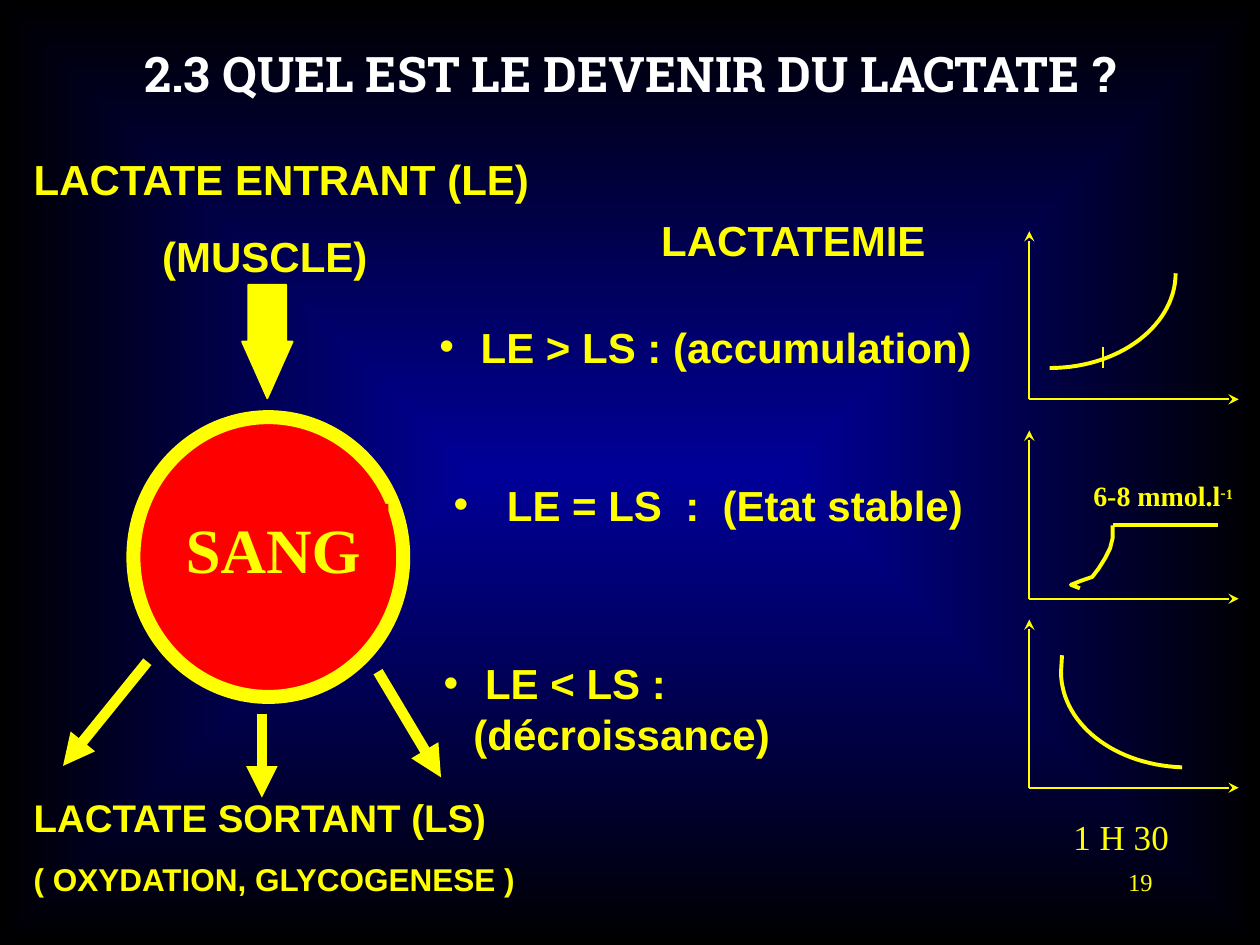
from dataclasses import dataclass
from typing import Optional

from lxml import etree
from pptx import Presentation
from pptx.dml.color import RGBColor
from pptx.enum.shapes import MSO_CONNECTOR, MSO_SHAPE
from pptx.enum.text import MSO_ANCHOR, MSO_AUTO_SIZE, PP_ALIGN
from pptx.oxml.ns import qn
from pptx.util import Cm, Pt

LEFT, MID, RIGHT = PP_ALIGN.LEFT, PP_ALIGN.CENTER, PP_ALIGN.RIGHT
TOP, CENTER = MSO_ANCHOR.TOP, MSO_ANCHOR.MIDDLE
NO_FIT = MSO_AUTO_SIZE.NONE
STRAIGHT = MSO_CONNECTOR.STRAIGHT
OVAL, RECT, DOWN = MSO_SHAPE.OVAL, MSO_SHAPE.RECTANGLE, MSO_SHAPE.DOWN_ARROW
HEX = {"ink": "FFFF00", "blood": "FF0000", "title": "FFFFFF",
       "core": "000099", "edge": "000000"}
SANS, SERIF, SLAB = "Arial", "Times New Roman", "Roboto Slab"


@dataclass
class Run:
    text: str
    size: float = 24
    font: str = SANS
    bold: bool = True
    color: str = "ink"
    rise: int = 0


@dataclass
class Para:
    runs: list[Run]
    align: Optional[PP_ALIGN] = LEFT
    before: float = 0
    indent: float = 0
    hang: float = 0


@dataclass
class Label:
    box: tuple
    paras: list[Para]
    wrap: bool = True


@dataclass
class Item:
    slot: int
    box: tuple
    lines: list[str]
    hang: float
    align: PP_ALIGN = LEFT


@dataclass
class Arrow:
    start: tuple
    end: tuple
    width: float = 1
    tip: str = ""


def rgb(name: str) -> RGBColor:
    return RGBColor.from_string(HEX[name])


def place(shape, box: tuple) -> None:
    shape.left, shape.top, shape.width, shape.height = map(Cm, box)


def add_run(para, run: Run) -> None:
    part = para.add_run()
    part.text = run.text
    font = part.font
    font.size, font.name, font.bold = Pt(run.size), run.font, run.bold
    font.color.rgb = rgb(run.color)
    if run.rise:
        font._element.set("baseline", str(run.rise * 1000))


def set_list(para, indent: float, hang: float) -> None:
    props = para._p.get_or_add_pPr()
    props.set("marL", str(Cm(indent + hang)))
    props.set("indent", str(-Cm(hang)))
    if hang:
        tint = etree.SubElement(props, qn("a:buClr"))
        etree.SubElement(tint, qn("a:srgbClr"), val=HEX["ink"])
        etree.SubElement(props, qn("a:buFont"), typeface=SANS)
        etree.SubElement(props, qn("a:buChar"), char="•")
    else:
        etree.SubElement(props, qn("a:buNone"))


def write(shape, paras: list[Para], wrap: bool = True, anchor=TOP) -> None:
    frame = shape.text_frame
    frame.word_wrap, frame.auto_size = wrap, NO_FIT
    frame.vertical_anchor = anchor
    for rank, spec_ in enumerate(paras):
        para = frame.add_paragraph() if rank else frame.paragraphs[0]
        set_list(para, spec_.indent, spec_.hang)
        para.alignment = spec_.align
        para.space_before = Pt(spec_.before)
        for turn, run in enumerate(spec_.runs):
            if turn and spec_.hang:
                para.add_line_break()
            add_run(para, run)


def add_label(slide, label: Label) -> None:
    shape = slide.shapes.add_textbox(*map(Cm, label.box))
    write(shape, label.paras, label.wrap)


def add_item(slide, item: Item) -> None:
    shape = slide.placeholders[item.slot]
    place(shape, item.box)
    runs = [Run(line) for line in item.lines]
    write(shape, [Para(runs, item.align, hang=item.hang)])


def add_form(slide, kind, box: tuple, fill: str, width: float):
    shape = slide.shapes.add_shape(kind, *map(Cm, box))
    shape.shadow.inherit = False
    shape.fill.solid()
    shape.fill.fore_color.rgb = rgb(fill)
    if width:
        shape.line.color.rgb, shape.line.width = rgb("ink"), Pt(width)
    else:
        shape.line.fill.background()
    return shape


def add_arrow(slide, arrow: Arrow) -> None:
    line = slide.shapes.add_connector(STRAIGHT, *map(Cm, arrow.start + arrow.end))
    line.line.color.rgb, line.line.width = rgb("ink"), Pt(arrow.width)
    if arrow.tip:
        etree.SubElement(line.line._get_or_add_ln(), qn("a:tailEnd"), type=arrow.tip)
    etree.SubElement(line._element.spPr, qn("a:effectLst"))


def bezier(a: tuple, b: tuple, c: tuple, d: tuple, steps: int = 30) -> list[tuple]:
    marks = [n / steps for n in range(steps + 1)]
    return [tuple((1 - t) ** 3 * p + 3 * t * (1 - t) ** 2 * q
                  + 3 * t * t * (1 - t) * r + t ** 3 * s
                  for p, q, r, s in zip(a, b, c, d)) for t in marks]


def add_curve(slide, dots: list[tuple]) -> None:
    dots = [(Cm(x), Cm(y)) for x, y in dots]
    path_ = slide.shapes.build_freeform(*dots[0])
    path_.add_line_segments(dots[1:], close=False)
    shape = path_.convert_to_shape()
    shape.shadow.inherit = False
    shape.fill.background()
    shape.line.color.rgb, shape.line.width = rgb("ink"), Pt(2.25)


def paint(slide) -> None:
    fill = slide.background.fill
    fill.gradient()
    for stop, name in zip(fill.gradient_stops, ("core", "edge")):
        stop.color.rgb = rgb(name)
    grad = slide.element.find(".//" + qn("a:gradFill"))
    grad.remove(grad.find(qn("a:lin")))
    glow = etree.SubElement(grad, qn("a:path"), path="rect")
    etree.SubElement(glow, qn("a:fillToRect"), l="50000", t="50000", r="50000", b="50000")


LABELS = [
    Label((18.21, 17.35, 5.28, 1.27), [Para([Run("19", 14, SERIF, False)], RIGHT)]),
    Label((0.43, 2.97, 11.43, 2.82), [
        Para([Run("LACTATE ENTRANT (LE)")]),
        Para([Run("(MUSCLE)")], before=15, indent=2.59)]),
    Label((0.43, 15.88, 13.13, 2.34), [
        Para([Run("LACTATE SORTANT (LS)", 22)]),
        Para([Run("( OXYDATION, GLYCOGENESE )", 18)], before=11.2)]),
    Label((21.79, 9.53, 3.33, 0.94), [Para([
        Run("6-8 mmol.l", 16, SERIF), Run("-", 16, SERIF, rise=30),
        Run("1", 14, SERIF, rise=30)])], False),
    Label((21.39, 16.31, 2.54, 1.09), [Para([Run("1 H 30", 20, SERIF, False)])]),
    Label((13.08, 4.19, 5.97, 1.27), [Para([Run("LACTATEMIE")])], False),
]
ITEMS = [
    Item(1, (7.24, 6.35, 13.97, 1.27), [" LE > LS : (accumulation)"], 0.6, MID),
    Item(2, (8.89, 9.53, 11.23, 1.27), [" LE = LS  :  (Etat stable)"], 0.84),
    Item(3, (8.69, 13.13, 11.43, 1.27), [" LE < LS :", "(décroissance)"], 0.6),
]
FLOWS = [((2.97, 13.34), (1.27, 15.44)), ((7.62, 13.54), (8.89, 15.67)),
         ((5.28, 14.4), (5.28, 16.08))]
AXIS_X, AXIS_END, AXIS_H = 20.75, 24.97, 3.39
BASES = (8.05, 12.07, 15.88)
CURVES = [
    bezier((23.7, 5.51), (23.7, 6.55), (22.58, 7.42), (21.16, 7.42)),
    [(22.43, 10.59), (22.43, 10.85), (22.38, 11.05), (22.28, 11.25), (22.15, 11.46),
     (22.02, 11.63), (21.79, 11.71), (21.59, 11.79), (21.77, 11.86)],
    bezier((23.83, 15.47), (22.45, 15.42), (21.39, 14.58), (21.39, 13.54)) + [(21.41, 13.21)],
]


def main() -> None:
    deck = Presentation()
    deck.slide_width, deck.slide_height = Cm(25.4), Cm(19.05)
    slide = deck.slides.add_slide(deck.slide_layouts[4])
    paint(slide)
    title = slide.shapes.title
    place(title, (0, 0.2, 25.4, 2.54))
    head = Run("2.3 QUEL EST LE DEVENIR DU LACTATE ?", 28, SLAB, color="title")
    write(title, [Para([head], MID)], anchor=CENTER)
    spare = slide.placeholders[4].element
    spare.getparent().remove(spare)

    add_form(slide, OVAL, (2.69, 8.41, 5.44, 5.64), "blood", 8)
    blood = add_form(slide, RECT, (3.18, 10.16, 4.65, 1.78), "blood", 0)
    write(blood, [Para([Run("SANG", 36, SERIF)], MID)])
    inflow = add_form(slide, DOWN, (4.88, 5.74, 1.02, 2.29), "ink", 1)
    inflow.adjustments[0], inflow.adjustments[1] = 0.75, 1.12

    for label in LABELS:
        add_label(slide, label)
    for item in ITEMS:
        add_item(slide, item)
    for base, curve in zip(BASES, CURVES):
        zero = (AXIS_X, base)
        for end in ((AXIS_X, base - AXIS_H), (AXIS_END, base)):
            add_arrow(slide, Arrow(zero, end, tip="stealth"))
        add_curve(slide, curve)
    add_arrow(slide, Arrow((22.23, 6.99), (22.23, 7.42)))
    add_arrow(slide, Arrow((22.43, 10.59), (24.56, 10.59), 2.25))
    for start, end in FLOWS:
        add_arrow(slide, Arrow(start, end, 6, "triangle"))
    deck.save("out.pptx")


if __name__ == "__main__":
    main()
